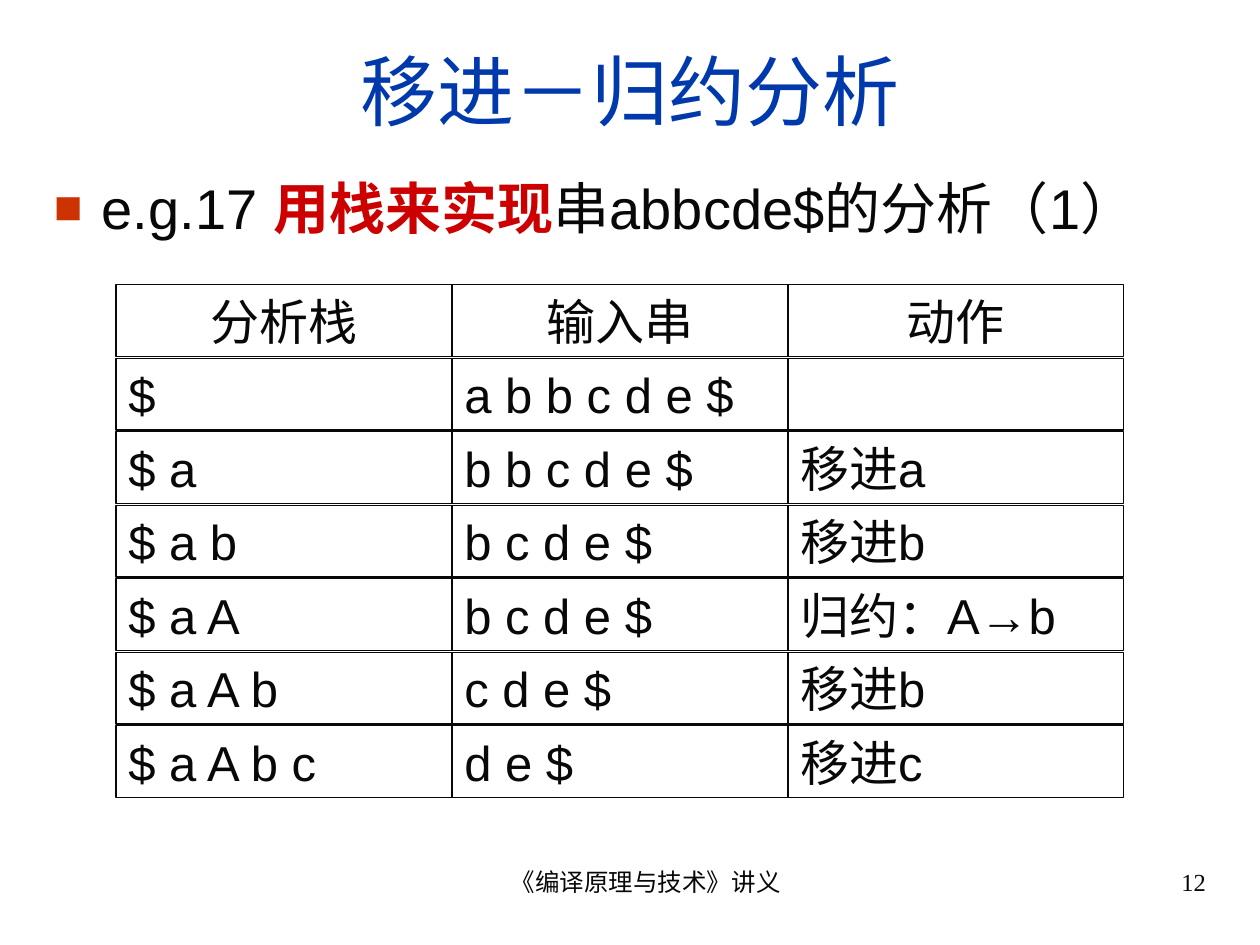
from lxml.etree import SubElement
from pptx import Presentation
from pptx.dml.color import RGBColor
from pptx.enum.shapes import MSO_SHAPE as SHAPE
from pptx.enum.text import MSO_ANCHOR as ANCHOR, PP_ALIGN as ALIGN
from pptx.oxml.ns import qn
from pptx.util import Inches, Pt

INK = RGBColor(0x08, 0x08, 0x08)
BLUE = RGBColor(0x00, 0x39, 0xAC)
RED = RGBColor(0xCC, 0x00, 0x00)
ORANGE = RGBColor(0xCC, 0x33, 0x00)

HEADER = ("分析栈", "输入串", "动作")
STEPS = [
    ("$", "a b b c d e $", ""),
    ("$ a", "b b c d e $", "移进a"),
    ("$ a b", "b c d e $", "移进b"),
    ("$ a A", "b c d e $", "归约：A→b"),
    ("$ a A b", "c d e $", "移进b"),
    ("$ a A b c", "d e $", "移进c"),
]


class Deck:
    """Holds the text style and the current slide, and adds elements to it."""

    def __init__(self, font, color):
        self.font, self.color = font, color
        self.prs = Presentation()
        self.prs.slide_width, self.prs.slide_height = Inches(10), Inches(7.5)
        self.s = self.prs.slides.add_slide(self.prs.slide_layouts[6])

    def run(self, p, text, size, color=None, font=None, bold=False):
        r = p.add_run()
        r.text = text
        r.font.size, r.font.bold = Pt(size), bold
        r.font.name = font or self.font
        r.font.color.rgb = color or self.color

    def first_paragraph(self, sp, align, anchor):
        tf = sp.text_frame
        tf.word_wrap, tf.vertical_anchor = True, anchor
        p = tf.paragraphs[0]
        p.alignment = align
        return p

    def box(self, x, y, w, h, align=ALIGN.LEFT, anchor=ANCHOR.TOP):
        sp = self.s.shapes.add_textbox(Inches(x), Inches(y), Inches(w), Inches(h))
        return self.first_paragraph(sp, align, anchor)

    def bullet(self, p, char, color, percent, indent):
        pPr = p._p.get_or_add_pPr()
        pPr.set("marL", str(Inches(indent)))
        pPr.set("indent", str(-Inches(indent)))
        clr = SubElement(pPr, qn("a:buClr"))
        SubElement(clr, qn("a:srgbClr"), val=str(color))
        SubElement(pPr, qn("a:buSzPct"), val=str(percent * 1000))
        SubElement(pPr, qn("a:buFont"), typeface=self.font)
        SubElement(pPr, qn("a:buChar"), char=char)

    def cell(self, text, x, y, w, h, size, align):
        sp = self.s.shapes.add_shape(
            SHAPE.RECTANGLE, Inches(x), Inches(y), Inches(w), Inches(h))
        sp.shadow.inherit = False
        sp.fill.background()
        sp.line.color.rgb, sp.line.width = self.color, Pt(0.75)
        p = self.first_paragraph(sp, align, ANCHOR.MIDDLE)
        if text:
            self.run(p, text, size)

    def grid(self, rows, x, y, col_w, row_h, pitch, size):
        for i, row in enumerate(rows):
            align = ALIGN.LEFT if i else ALIGN.CENTER
            for j, text in enumerate(row):
                self.cell(text, x + j * col_w, y + i * pitch, col_w, row_h, size, align)


def main():
    deck = Deck("Arial", INK)

    title = deck.box(0.33, 0.25, 9.34, 0.92, ALIGN.CENTER, ANCHOR.MIDDLE)
    deck.run(title, "移进－归约分析", 44, BLUE)

    example = deck.box(0.33, 1.33, 9.34, 0.67)
    deck.bullet(example, "■", ORANGE, 85, 0.38)
    deck.run(example, "e.g.17 ", 32)
    deck.run(example, "用栈来实现", 32, RED, bold=True)
    deck.run(example, "串abbcde$的分析（1）", 32)

    deck.grid([HEADER] + STEPS, x=0.92, y=2.26, col_w=8 / 3, row_h=0.57, pitch=3.5 / 6, size=28)

    footer = deck.box(3.54, 6.83, 3.17, 0.52, ALIGN.CENTER)
    deck.run(footer, "《编译原理与技术》讲义", 14, font="Times New Roman")
    number = deck.box(7.17, 6.83, 2.5, 0.52, ALIGN.RIGHT)
    deck.run(number, "12", 14, font="Times New Roman")

    deck.prs.save("out.pptx")


if __name__ == "__main__":
    main()
